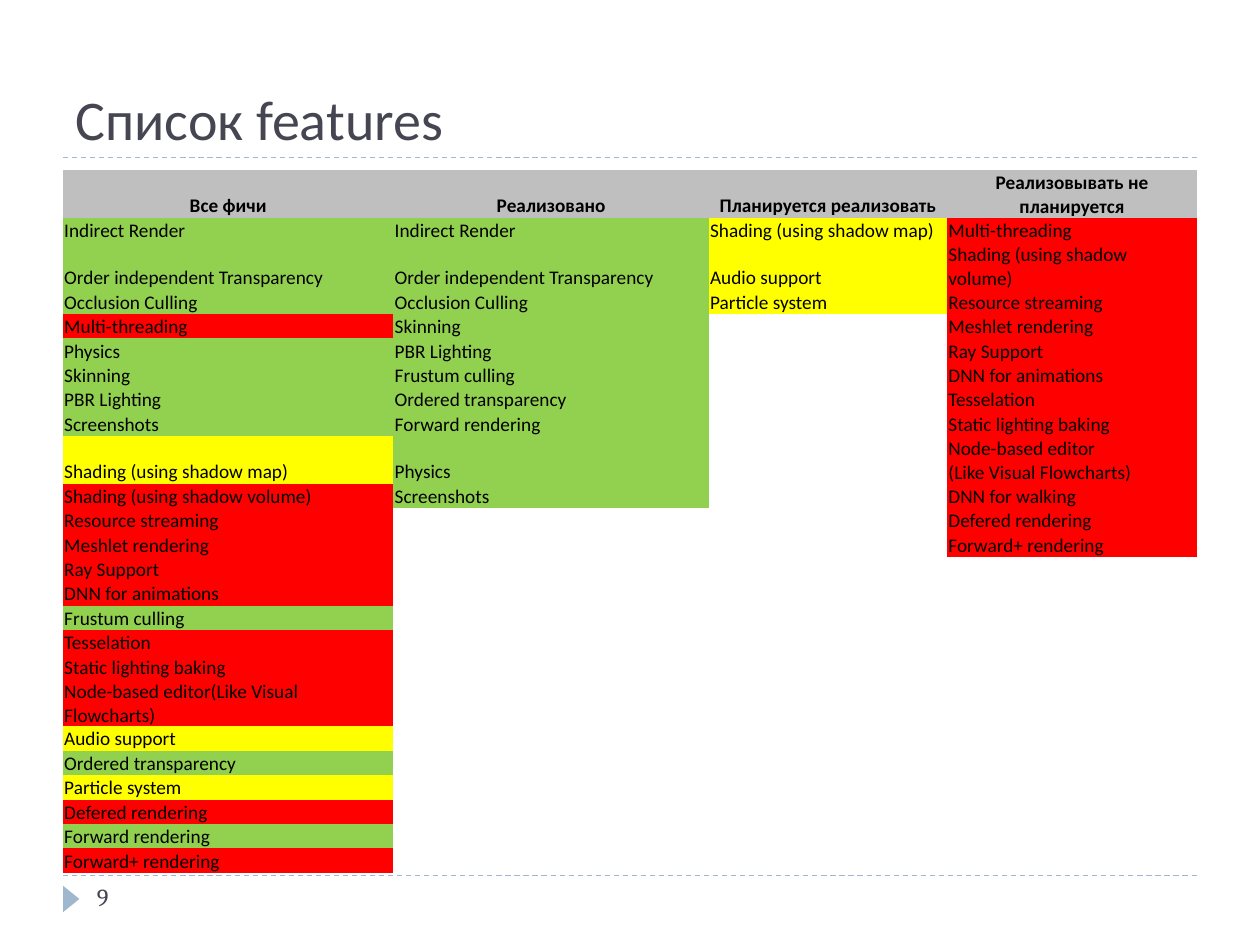
from dataclasses import dataclass
from itertools import zip_longest

from lxml import etree
from pptx import Presentation
from pptx.dml.color import RGBColor
from pptx.enum.dml import MSO_LINE
from pptx.enum.shapes import MSO_CONNECTOR, MSO_SHAPE
from pptx.enum.text import MSO_ANCHOR, PP_ALIGN
from pptx.oxml.ns import qn
from pptx.util import Inches, Pt

STRAIGHT = MSO_CONNECTOR.STRAIGHT
TRIANGLE = MSO_SHAPE.ISOSCELES_TRIANGLE
DASH = MSO_LINE.DASH
TOP, BOTTOM = MSO_ANCHOR.TOP, MSO_ANCHOR.BOTTOM
LEFT, CENTER = PP_ALIGN.LEFT, PP_ALIGN.CENTER
NO_STYLE = "{2D5ABB26-0587-4C30-8999-92F81FD0307C}"


@dataclass(frozen=True)
class Theme:
    body_font: str = "Calibri"
    number_font: str = "Cambria"
    ink: str = "464653"
    accent: str = "9FB8CD"
    black: str = "000000"
    header: str = "BFBFBF"
    done: str = "92D050"
    planned: str = "FFFF00"
    rejected: str = "FF0000"
    title_size: float = 32
    number_size: float = 14
    cell_size: float = 11


@dataclass(frozen=True)
class Style:
    font: str
    size: float
    color: str
    bold: bool = False


@dataclass(frozen=True)
class Column:
    heading: str
    width: float
    fill: str
    items: list[str]


THEME = Theme()
TITLE = Style(THEME.body_font, THEME.title_size, THEME.ink)
NUMBER = Style(THEME.number_font, THEME.number_size, THEME.ink)
HEADING = Style(THEME.body_font, THEME.cell_size, THEME.black, True)
ITEM = Style(THEME.body_font, THEME.cell_size, THEME.black)

# Slide frame, in inches
WIDTH, HEIGHT = 10, 7.5
MARGIN = 0.05 * WIDTH
CONTENT = WIDTH - 2 * MARGIN
TITLE_RULE, FOOTER_RULE = 1.25, 6.95
TABLE_TOP = TITLE_RULE + 0.1
ROW, TALL_ROW, TALL_INDEX = 0.19, 0.36, 9
INSET = 0.01

# Features by status
STATUSES = [
    Column("Реализовано", 2.5, THEME.done, [
        "Indirect Render", "Order independent Transparency",
        "Occlusion Culling", "Skinning", "PBR Lighting", "Frustum culling",
        "Ordered transparency", "Forward rendering", "Physics",
        "Screenshots"]),
    Column("Планируется реализовать", 1.89, THEME.planned, [
        "Shading (using shadow map)", "Audio support", "Particle system"]),
    Column("Реализовывать не планируется", 1.98, THEME.rejected, [
        "Multi-threading", "Shading (using shadow volume)",
        "Resource streaming", "Meshlet rendering", "Ray Support",
        "DNN for animations", "Tesselation", "Static lighting baking",
        "Node-based editor\n(Like Visual Flowcharts)", "DNN for walking",
        "Defered rendering", "Forward+ rendering"]),
]
ALL_FEATURES = Column("Все фичи", 2.62, THEME.header, [
    "Indirect Render", "Order independent Transparency", "Occlusion Culling",
    "Multi-threading", "Physics", "Skinning", "PBR Lighting", "Screenshots",
    "Shading (using shadow map)", "Shading (using shadow volume)",
    "Resource streaming", "Meshlet rendering", "Ray Support",
    "DNN for animations", "Frustum culling", "Tesselation",
    "Static lighting baking", "Node-based editor(Like Visual Flowcharts)",
    "Audio support", "Ordered transparency", "Particle system",
    "Defered rendering", "Forward rendering", "Forward+ rendering"])
COLUMNS = [ALL_FEATURES, *STATUSES]
FILLS = {item.replace("\n", ""): col.fill
         for col in STATUSES for item in col.items}


def write(tf, text: str, style: Style, align=LEFT) -> None:
    tf.text = text
    for p in tf.paragraphs:
        p.alignment = align
        for r in p.runs:
            r.font.name, r.font.size = style.font, Pt(style.size)
            r.font.bold = style.bold
            r.font.color.rgb = RGBColor.from_string(style.color)


def add_text(slide, box: tuple, text: str, style: Style, anchor) -> None:
    tf = slide.shapes.add_textbox(*map(Inches, box)).text_frame
    tf.word_wrap = True
    tf.vertical_anchor = anchor
    write(tf, text, style)


def add_rule(slide, y: float) -> None:
    line = slide.shapes.add_connector(
        STRAIGHT, Inches(MARGIN), Inches(y), Inches(WIDTH - MARGIN), Inches(y))
    line.line.color.rgb = RGBColor.from_string(THEME.accent)
    line.line.width = Pt(0.75)
    line.line.dash_style = DASH
    etree.SubElement(line._element.spPr, qn("a:effectLst"))


def add_marker(slide) -> None:
    sp = slide.shapes.add_shape(
        TRIANGLE, *map(Inches, (0.46, 7.07, 0.21, 0.13)))
    sp.rotation = 90
    sp.shadow.inherit = False
    sp.fill.solid()
    sp.fill.fore_color.rgb = RGBColor.from_string(THEME.accent)
    sp.line.fill.background()


def fill_cell(cell, text: str, fill: str, style: Style, align=LEFT) -> None:
    cell.margin_left = cell.margin_right = cell.margin_top = Inches(INSET)
    cell.margin_bottom = 0
    cell.vertical_anchor = BOTTOM
    if not text:
        # A small end mark keeps an empty cell from stretching its row
        cell.fill.background()
        p = cell.text_frame.paragraphs[0]
        etree.SubElement(p._p, qn("a:endParaRPr"),
                         sz=str(int(style.size * 100)))
        return
    cell.fill.solid()
    cell.fill.fore_color.rgb = RGBColor.from_string(fill)
    write(cell.text_frame, text, style, align)


def add_features(slide) -> None:
    rows = list(zip_longest(*(col.items for col in COLUMNS), fillvalue=""))
    count = len(rows) + 1
    table = slide.shapes.add_table(
        count, len(COLUMNS), Inches(MARGIN), Inches(TABLE_TOP),
        Inches(CONTENT), Inches(ROW * count)).table
    table.first_row = table.horz_banding = False
    table._tbl.tblPr.find(qn("a:tableStyleId")).text = NO_STYLE
    total = sum(col.width for col in COLUMNS)
    for c, col in enumerate(COLUMNS):
        table.columns[c].width = Inches(CONTENT * col.width / total)
        fill_cell(table.cell(0, c), col.heading, THEME.header, HEADING, CENTER)
    for n in range(count):
        table.rows[n].height = Inches(TALL_ROW if n == TALL_INDEX else ROW)
    for n, items in enumerate(rows, 1):
        for c, item in enumerate(items):
            fill = FILLS.get(item.replace("\n", ""), THEME.header)
            fill_cell(table.cell(n, c), item, fill, ITEM)


def main() -> None:
    prs = Presentation()
    prs.slide_width, prs.slide_height = Inches(WIDTH), Inches(HEIGHT)
    slide = prs.slides.add_slide(prs.slide_layouts[6])

    # Frame
    add_rule(slide, FOOTER_RULE)
    add_rule(slide, TITLE_RULE)
    add_marker(slide)

    # Title and page number
    add_text(slide, (MARGIN, 0.17, CONTENT, TITLE_RULE - 0.17),
             "Список features", TITLE, BOTTOM)
    add_text(slide, (0.67, FOOTER_RULE, 2.17, 0.4), "9", NUMBER, TOP)

    # Feature table
    add_features(slide)
    prs.save("out.pptx")


if __name__ == "__main__":
    main()
